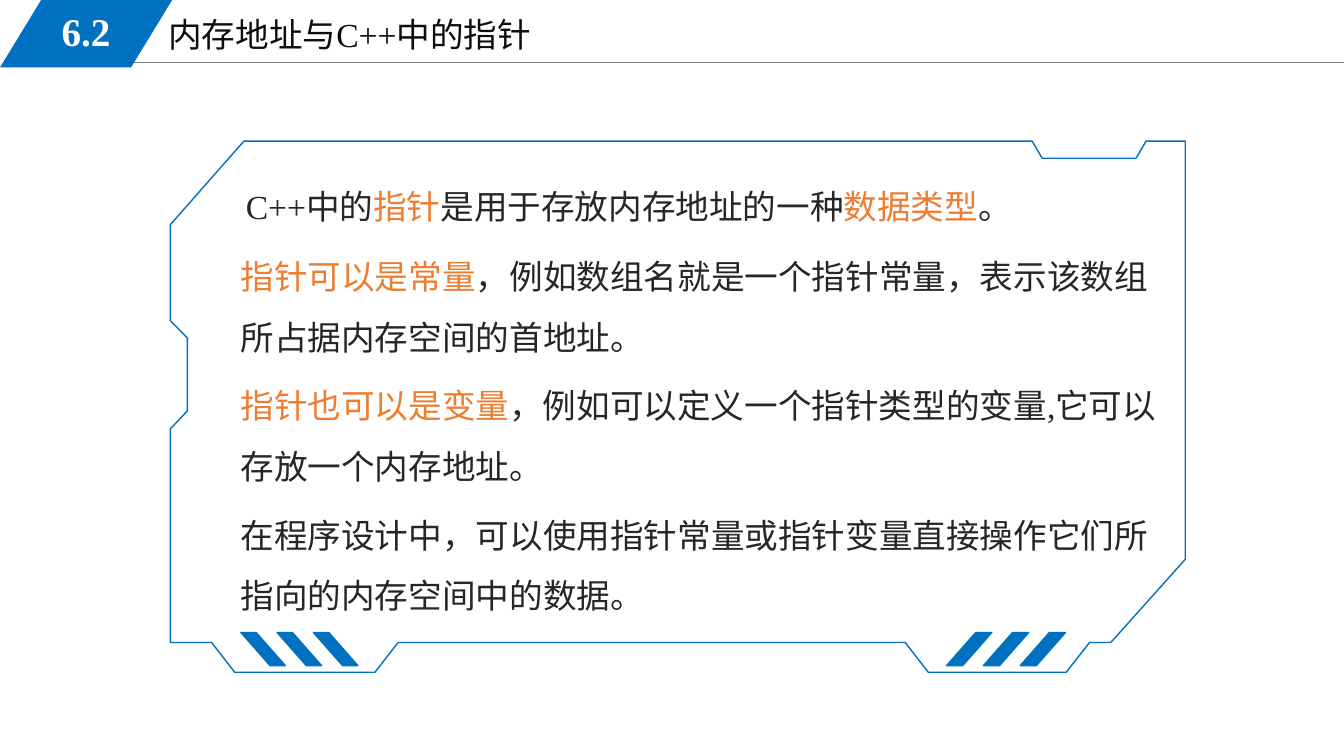
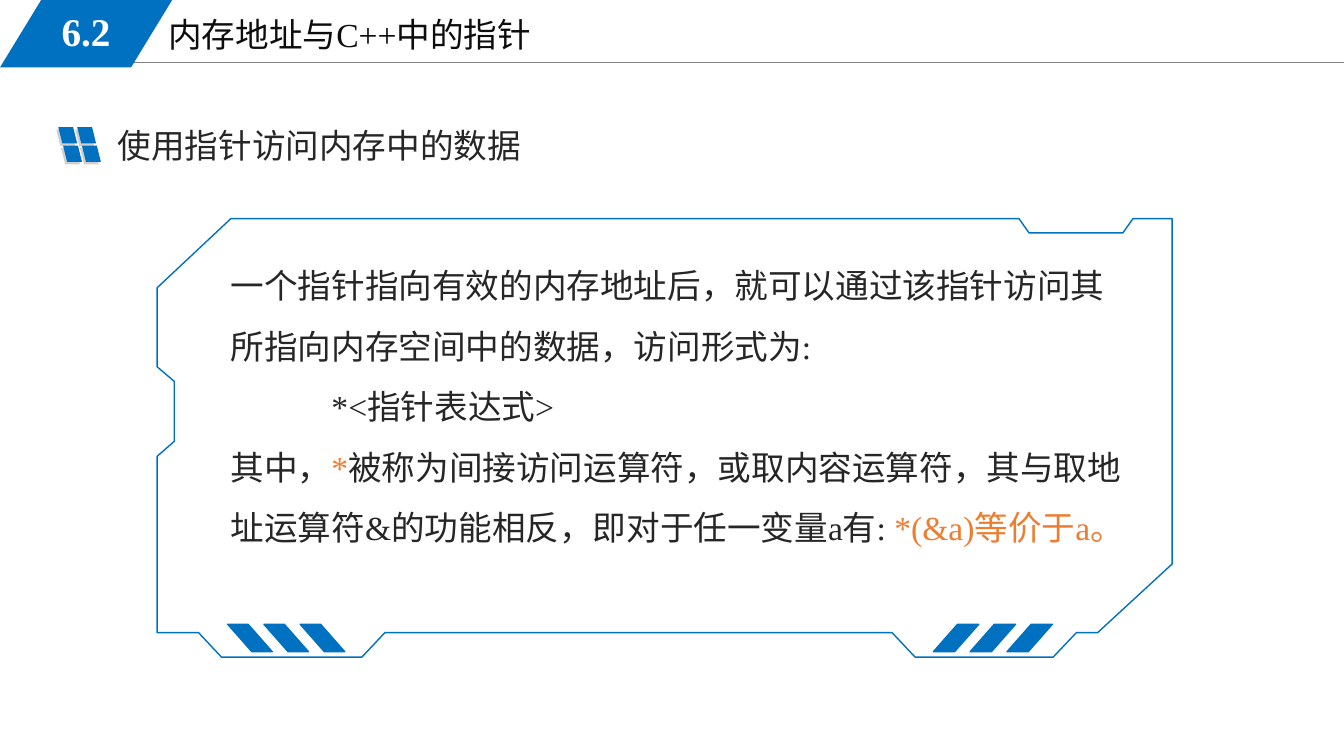
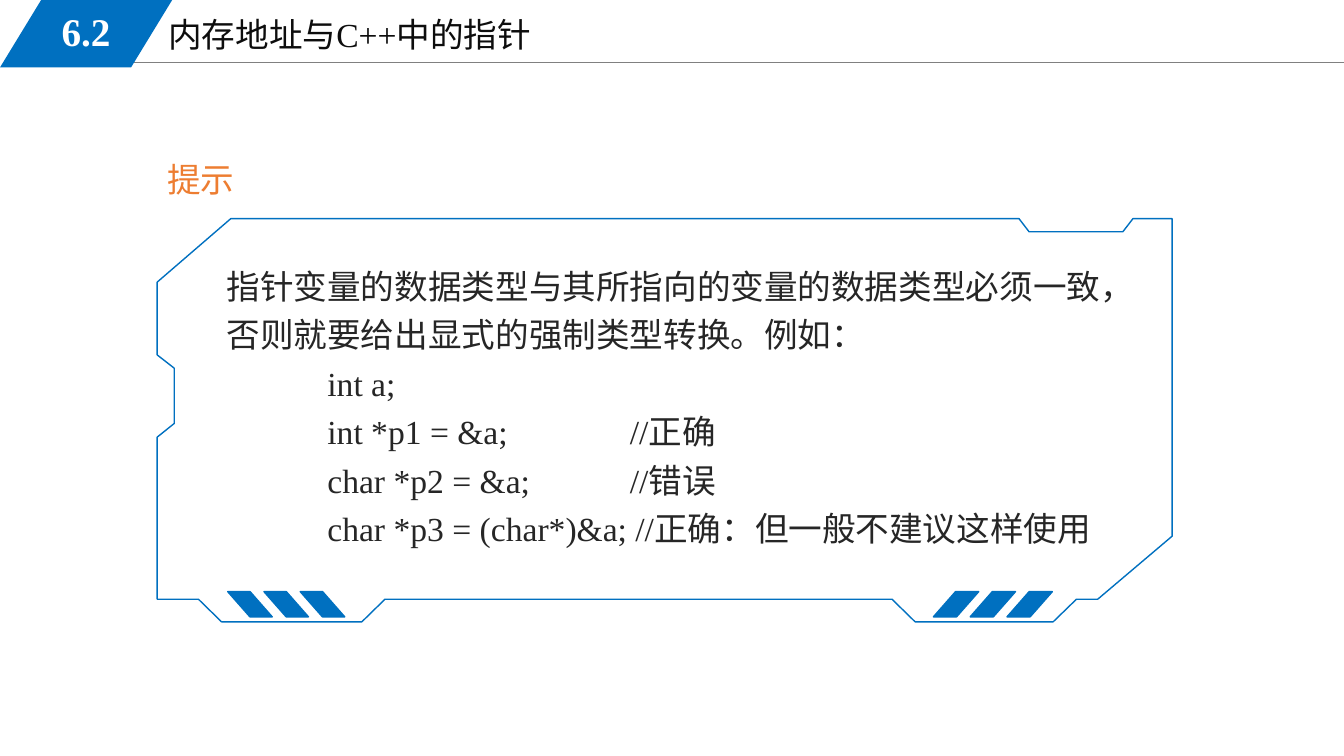
"""Build three slides on C++ pointers that share a header and a cut-corner frame."""
from dataclasses import dataclass

from lxml.etree import SubElement
from pptx import Presentation
from pptx.dml.color import RGBColor
from pptx.enum.lang import MSO_LANGUAGE_ID as Language
from pptx.enum.shapes import MSO_CONNECTOR as Connector, MSO_SHAPE as Preset
from pptx.enum.text import MSO_ANCHOR as Anchor, MSO_AUTO_SIZE as AutoSize, PP_ALIGN as Align
from pptx.oxml.ns import qn
from pptx.shapes.autoshape import Shape
from pptx.slide import Slide
from pptx.util import Pt

BLUE, ORANGE, GREY, SILVER = "0070C0", "ED7D31", "808080", "D0CECE"
WHITE, BLACK, DARK = "FFFFFF", "0D0D0D", "262626"
FONT = "Times New Roman"
SLIDE_WIDTH, SLIDE_HEIGHT = 960, 540
TAB_STEP, TAB_COUNT = 72, 4

FRAME_WIDTH = 725
FRAME_OUTLINE = (
    (52.6, 0), (615.6, 0), (622.8, 3.25), (689.8, 3.25), (697, 0), (725, 0),
    (725, 78.75), (671.8, 94.4), (656.6, 94.4), (640, 100), (541.4, 100),
    (524.9, 94.4), (162.7, 94.4), (146.2, 100), (46, 100), (29.5, 94.4),
    (0, 94.4), (0, 54.2), (12.2, 50.8), (12.2, 37.1), (0, 33.8), (0, 15.75),
)
BAR_TOP, BAR_HEIGHT, BAR_COUNT = 92.5, 6.25, 3


@dataclass(frozen=True)
class Box:
    left: float
    top: float
    width: float
    height: float


@dataclass(frozen=True)
class Span:
    text: str
    color: str = DARK


@dataclass(frozen=True)
class TextStyle:
    size: float = 24
    bold: bool = False
    align: Align = Align.LEFT
    anchor: Anchor = Anchor.TOP
    side_margin: float = 7.2
    line_spacing: float = 1.0
    space_before: float = 0
    indent: float = 0


@dataclass(frozen=True)
class BarGroup:
    left: float
    step: float
    width: float
    flipped: bool


@dataclass(frozen=True)
class TileLayer:
    left: float
    top: float
    color: str


Lines = tuple[tuple[Span, ...], ...]

BAR_GROUPS = (BarGroup(50.4, 25.9, 31.8, True), BarGroup(554.4, 26.3, 32.4, False))
TILE_LAYERS = (TileLayer(40.3, 92.7, SILVER), TileLayer(41.7, 90.9, BLUE))


def rgb(color: str) -> RGBColor:
    return RGBColor.from_string(color)


def add_tab_stops(paragraph) -> None:
    tab_list = SubElement(paragraph._p.get_or_add_pPr(), qn("a:tabLst"))
    for number in range(1, TAB_COUNT + 1):
        SubElement(tab_list, qn("a:tab"), pos=str(Pt(number * TAB_STEP)), algn="l")


def add_text(slide: Slide, box: Box, lines: Lines, style: TextStyle = TextStyle()) -> None:
    shape = slide.shapes.add_textbox(Pt(box.left), Pt(box.top), Pt(box.width), Pt(box.height))
    frame = shape.text_frame
    frame.word_wrap = True
    frame.auto_size = AutoSize.SHAPE_TO_FIT_TEXT
    frame.vertical_anchor = style.anchor
    frame.margin_left = frame.margin_right = Pt(style.side_margin)
    for index, spans in enumerate(lines):
        paragraph = frame.add_paragraph() if index else frame.paragraphs[0]
        paragraph.alignment = style.align
        paragraph.line_spacing = style.line_spacing
        if index and style.space_before:
            paragraph.space_before = Pt(style.space_before)
        if style.indent:
            paragraph._p.get_or_add_pPr().set("marL", str(Pt(style.indent)))
        if any("\t" in span.text for span in spans):
            add_tab_stops(paragraph)
        for span in spans:
            run = paragraph.add_run()
            run.text = span.text
            run.font.name = FONT
            run.font.size = Pt(style.size)
            run.font.bold = style.bold
            run.font.color.rgb = rgb(span.color)
            run.font.language_id = Language.SIMPLIFIED_CHINESE


def add_parallelogram(slide: Slide, box: Box, color: str, slant: float = 0.25,
                      flipped: bool = False, outlined: bool = False) -> Shape:
    shape = slide.shapes.add_shape(
        Preset.PARALLELOGRAM, Pt(box.left), Pt(box.top), Pt(box.width), Pt(box.height))
    shape.shadow.inherit = False
    shape.adjustments[0] = slant
    shape.fill.solid()
    shape.fill.fore_color.rgb = rgb(color)
    if outlined:
        shape.line.color.rgb = rgb(color)
        shape.line.width = Pt(1)
    else:
        shape.line.fill.background()
    if flipped:
        shape.element.spPr.find(qn("a:xfrm")).set("flipH", "1")
    return shape


def add_header(slide: Slide) -> None:
    rule = slide.shapes.add_connector(
        Connector.STRAIGHT, Pt(81.4), Pt(44.5), Pt(SLIDE_WIDTH), Pt(44.5))
    rule.line.color.rgb = rgb(GREY)
    rule.line.width = Pt(0.75)
    SubElement(rule.element.spPr, qn("a:effectLst"))
    add_text(slide, Box(112.3, 6.5, 408, 36.4), ((Span("内存地址与C++中的指针", BLACK),),),
             TextStyle(side_margin=7.9))
    add_parallelogram(slide, Box(0, 0, 123, 48.2), BLUE, slant=0.61)
    add_text(slide, Box(18, 1.4, 87, 41.8), ((Span("6.2", WHITE),),),
             TextStyle(size=28, bold=True, align=Align.CENTER, anchor=Anchor.MIDDLE,
                       side_margin=7.9))


def add_frame(slide: Slide, left: float, top: float, height: float) -> None:
    points = [(Pt(left + x), Pt(top + height * percent / 100)) for x, percent in FRAME_OUTLINE]
    builder = slide.shapes.build_freeform(*points[0])
    builder.add_line_segments(points[1:], close=True)
    outline = builder.convert_to_shape()
    outline.shadow.inherit = False
    outline.fill.background()
    outline.line.color.rgb = rgb(BLUE)
    outline.line.width = Pt(1)
    for group in BAR_GROUPS:
        for index in range(BAR_COUNT):
            bar = Box(left + group.left + index * group.step, top + height * BAR_TOP / 100,
                      group.width, height * BAR_HEIGHT / 100)
            add_parallelogram(slide, bar, BLUE, 0.88, group.flipped, outlined=True)


def add_tile_heading(slide: Slide, text: str) -> None:
    for layer in TILE_LAYERS:
        for column in range(2):
            for row in range(2):
                tile = Box(layer.left + column * 13.5 + row * 3.4, layer.top + row * 13.2,
                           13.5, 11.5)
                add_parallelogram(slide, tile, layer.color, flipped=True)
    add_text(slide, Box(77, 85.7, 431, 36), ((Span(text),),))


def add_definition(slide: Slide) -> None:
    add_frame(slide, 121.7, 100.8, 379.4)
    add_text(slide, Box(168.5, 123.8, 604, 39), (
        (Span("C++中的"), Span("指针", ORANGE), Span("是用于存放内存地址的一种"),
         Span("数据类型", ORANGE), Span("。")),
    ), TextStyle(line_spacing=1.2))
    add_text(slide, Box(136.8, 164.9, 696.2, 274.3), (
        (Span("指针可以是常量", ORANGE),
         Span("，例如数组名就是一个指针常量，表示该数组所占据内存空间的首地址。")),
        (Span("指针也可以是变量", ORANGE),
         Span("，例如可以定义一个指针类型的变量,它可以存放一个内存地址。")),
        (Span("在程序设计中，可以使用指针常量或指针变量直接操作它们所指向的内存空间中的数据。"),),
    ), TextStyle(line_spacing=1.5, space_before=6, indent=28))


def add_access(slide: Slide) -> None:
    add_tile_heading(slide, "使用指针访问内存中的数据")
    add_frame(slide, 112.3, 156.2, 313.2)
    add_text(slide, Box(157.7, 171.4, 661.7, 220.3), (
        (Span("一个指针指向有效的内存地址后，就可以通过该指针访问其所指向内存空间中的数据，访问形式为:"),),
        (Span("\t*<指针表达式>"),),
        (Span("其中，"), Span("*", ORANGE),
         Span("被称为间接访问运算符，或取内容运算符，其与取地址运算符&的功能相反，即对于任一变量a有: "),
         Span("*(&a)等价于a。", ORANGE)),
    ), TextStyle(line_spacing=1.5))


def add_hint(slide: Slide) -> None:
    add_text(slide, Box(112.3, 110.2, 431, 36), ((Span("提示", ORANGE),),))
    add_frame(slide, 112.3, 156.2, 288)
    add_text(slide, Box(154.8, 180.7, 681.1, 216.7), (
        (Span("指针变量的数据类型与其所指向的变量的数据类型必须一致，否则就要给出显式的强制类型转换。例如："),),
        (Span("\tint a;"),),
        (Span("\tint *p1 = &a; \t\t//正确"),),
        (Span("\tchar *p2 = &a; \t//错误"),),
        (Span("\tchar *p3 = (char*)&a; //正确：但一般不建议这样使用"),),
    ), TextStyle(line_spacing=1.2))


def main() -> None:
    presentation = Presentation()
    presentation.slide_width = Pt(SLIDE_WIDTH)
    presentation.slide_height = Pt(SLIDE_HEIGHT)
    blank = presentation.slide_layouts[6]
    for add_content in (add_definition, add_access, add_hint):
        slide = presentation.slides.add_slide(blank)
        add_header(slide)
        add_content(slide)
    presentation.save("out.pptx")


if __name__ == "__main__":
    main()
